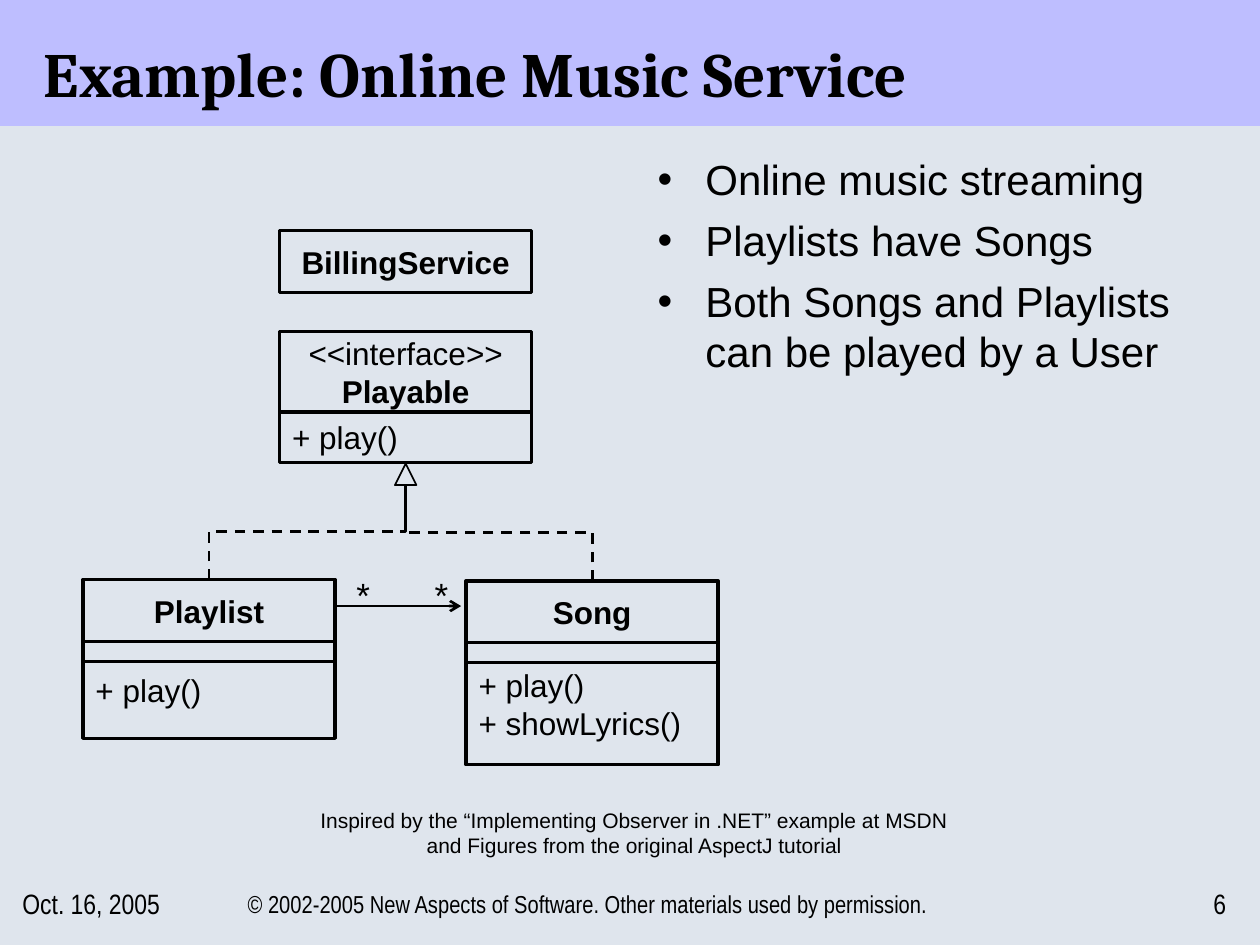
from dataclasses import dataclass

from lxml import etree
from pptx import Presentation
from pptx.dml.color import RGBColor
from pptx.enum.dml import MSO_LINE
from pptx.enum.shapes import MSO_CONNECTOR, MSO_SHAPE
from pptx.enum.text import MSO_ANCHOR, PP_ALIGN
from pptx.oxml.ns import qn
from pptx.util import Inches, Pt

LEFT, CENTER, RIGHT = PP_ALIGN.LEFT, PP_ALIGN.CENTER, PP_ALIGN.RIGHT
TOP, MIDDLE, BOTTOM = MSO_ANCHOR.TOP, MSO_ANCHOR.MIDDLE, MSO_ANCHOR.BOTTOM
RECTANGLE, TRIANGLE = MSO_SHAPE.RECTANGLE, MSO_SHAPE.ISOSCELES_TRIANGLE
STRAIGHT, ELBOW = MSO_CONNECTOR.STRAIGHT, MSO_CONNECTOR.ELBOW
DASH = MSO_LINE.DASH


@dataclass(frozen=True)
class Theme:
    ink: RGBColor = RGBColor(0x00, 0x00, 0x00)
    background: RGBColor = RGBColor(0xDF, 0xE5, 0xED)
    band: RGBColor = RGBColor(0xBE, 0xBE, 0xFF)
    title_font: str = "Cambria"
    body_font: str = "Arial"
    footer_font: str = "Arial Narrow"
    title_size: int = 36
    body_size: int = 24
    multiplicity_size: int = 20
    class_size: int = 18
    footer_size: int = 16
    copyright_size: int = 14
    credit_size: int = 12
    box_line: float = 2
    connector_line: float = 1.5
    triangle_line: float = 1


THEME = Theme()


def style_paragraph(paragraph, size, font=THEME.body_font, bold=False, align=LEFT):
    paragraph.alignment = align
    paragraph.font.name = font
    paragraph.font.size = Pt(size)
    paragraph.font.bold = bold
    paragraph.font.color.rgb = THEME.ink


def add_text(slide, box, text, size, anchor=TOP, wrap=True, **style):
    shape = slide.shapes.add_textbox(*map(Inches, box))
    frame = shape.text_frame
    frame.word_wrap = wrap
    frame.vertical_anchor = anchor
    paragraph = frame.paragraphs[0]
    paragraph.text = text
    style_paragraph(paragraph, size, **style)


def add_outline(shapes, kind, box, weight, fill=None):
    shape = shapes.add_shape(kind, *map(Inches, box))
    shape.shadow.inherit = False
    if fill is None:
        shape.fill.background()
    else:
        shape.fill.solid()
        shape.fill.fore_color.rgb = fill
    shape.line.color.rgb = THEME.ink
    shape.line.width = Pt(weight)
    return shape


def add_line(slide, kind, start, end):
    connector = slide.shapes.add_connector(kind, *map(Inches, start + end))
    connector.line.color.rgb = THEME.ink
    connector.line.width = Pt(THEME.connector_line)
    etree.SubElement(connector._element.spPr, qn("a:effectLst"))
    return connector


def add_title_band(slide, box):
    left, top, width, height = box
    band = slide.shapes.add_shape(RECTANGLE, *map(Inches, box))
    band.shadow.inherit = False
    band.fill.solid()
    band.fill.fore_color.rgb = THEME.band
    band.line.fill.background()
    add_text(slide, (left + 0.25, top + 0.17, width - 0.42, 0.75),
             "Example: Online Music Service", THEME.title_size,
             anchor=BOTTOM, font=THEME.title_font, bold=True)


def add_bullets(slide, box, items):
    frame = slide.shapes.add_textbox(*map(Inches, box)).text_frame
    frame.word_wrap = True
    for index, item in enumerate(items):
        paragraph = frame.add_paragraph() if index else frame.paragraphs[0]
        paragraph.text = item
        properties = paragraph._p.get_or_add_pPr()
        properties.set("marL", str(Inches(0.38)))
        properties.set("indent", str(-Inches(0.38)))
        etree.SubElement(properties, qn("a:buFont"), typeface=THEME.body_font)
        etree.SubElement(properties, qn("a:buChar"), char="•")
        style_paragraph(paragraph, THEME.body_size)
        if index:
            paragraph.space_before = Pt(6)


def add_compartment(shapes, box, lines=(), align=LEFT):
    """Draw one class compartment; lines are (text, bold) pairs."""
    shape = add_outline(shapes, RECTANGLE, box, THEME.box_line)
    frame = shape.text_frame
    frame.word_wrap = True
    frame.vertical_anchor = MIDDLE
    for index, (text, bold) in enumerate(lines):
        paragraph = frame.add_paragraph() if index else frame.paragraphs[0]
        paragraph.text = text
        style_paragraph(paragraph, THEME.class_size, bold=bold, align=align)


def add_class(slide, box, name, methods=(), stereotype=None,
              header_height=0.49, has_fields=False):
    left, top, width, height = box
    shapes = slide.shapes.add_group_shape().shapes if methods else slide.shapes
    header = [(stereotype, False)] if stereotype else []
    add_compartment(shapes, (left, top, width, header_height),
                    header + [(name, True)], CENTER)
    body_top = top + header_height
    if methods:
        add_compartment(shapes, (left, body_top, width, height - header_height),
                        [(method, False) for method in methods])
    if has_fields:
        add_compartment(shapes, (left, body_top, width, 0.16))


def add_realization(slide, start, end):
    """Dashed elbow that leaves upwards, runs across, and arrives upwards."""
    connector = add_line(slide, ELBOW, start, end)
    connector.line.dash_style = DASH
    across, rise = abs(end[0] - start[0]), start[1] - end[1]
    center_x, center_y = (start[0] + end[0]) / 2, (start[1] + end[1]) / 2
    # The elbow is laid out sideways and then turned by a quarter
    connector.left, connector.top = Inches(center_x - rise / 2), Inches(center_y - across / 2)
    connector.width, connector.height = Inches(rise), Inches(across)
    transform = connector._element.spPr.find(qn("a:xfrm"))
    transform.attrib.pop("flipH", None)
    transform.attrib.pop("flipV", None)
    transform.set("rot", str(270 * 60000))
    if start[0] > end[0]:
        transform.set("flipV", "1")


def add_class_diagram(slide, box):
    left, top, width, height = box
    class_width = 2
    playable_left = left + 1.56
    playable_center = playable_left + class_width / 2
    song_left = left + width - class_width
    lower_top = top + 2.77

    # Classes
    add_class(slide, (playable_left, top, class_width, 0.49), "BillingService")
    add_class(slide, (playable_left, top + 0.8, class_width, 1.04), "Playable",
              ["+ play()"], stereotype="<<interface>>", header_height=0.64)
    add_class(slide, (left, lower_top, class_width, 1.26), "Playlist",
              ["+ play()"], has_fields=True)
    add_class(slide, (song_left, lower_top + 0.01, class_width, 1.46), "Song",
              ["+ play()", "+ showLyrics()"], has_fields=True)

    # Playlist and Song realize Playable
    triangle = 0.17
    add_outline(slide.shapes, TRIANGLE,
                (playable_center - triangle / 2, top + 1.85, triangle, triangle),
                THEME.triangle_line, THEME.background)
    for class_left, class_top in ((left, lower_top), (song_left, lower_top + 0.01)):
        add_realization(slide, (class_left + class_width / 2, class_top),
                        (playable_center, top + 2.01))

    # Playlist refers to Song, many to many
    line_top = lower_top + 0.21
    line_left = left + class_width
    association = add_line(slide, STRAIGHT, (line_left, line_top), (line_left + 1, line_top))
    etree.SubElement(association.line._get_or_add_ln(), qn("a:tailEnd"), type="arrow")
    for offset in (0.07, 0.69):
        add_text(slide, (line_left + offset, lower_top - 0.1, 0.25, 0.44), "*",
                 THEME.multiplicity_size, align=CENTER)


def add_footer(slide, box):
    left, top, width, height = box
    parts = (
        (0, 1.67, "Oct. 16, 2005", THEME.footer_size, LEFT),
        (1.67, 5.83, "© 2002-2005 New Aspects of Software. "
         "Other materials used by permission.", THEME.copyright_size, CENTER),
        (width - 0.58, 0.58, "6", THEME.footer_size, RIGHT),
    )
    for offset, part_width, text, size, align in parts:
        add_text(slide, (left + offset, top, part_width, height), text, size,
                 anchor=MIDDLE, font=THEME.footer_font, align=align)


def main():
    presentation = Presentation()
    presentation.slide_width, presentation.slide_height = Inches(10), Inches(7.5)
    slide = presentation.slides.add_slide(presentation.slide_layouts[6])
    slide.background.fill.solid()
    slide.background.fill.fore_color.rgb = THEME.background

    add_title_band(slide, (0, 0, 10, 1))
    add_class_diagram(slide, (0.66, 1.83, 5.04, 4.24))
    add_bullets(slide, (5.12, 1.17, 4.71, 5.67), (
        "Online music streaming",
        "Playlists have Songs",
        "Both Songs and Playlists can be played by a User",
    ))
    add_text(slide, (2.42, 6.36, 5.23, 0.5),
             "Inspired by the “Implementing Observer in .NET” example at MSDN\v"
             "and Figures from the original AspectJ tutorial",
             THEME.credit_size, wrap=False, align=CENTER)
    add_footer(slide, (0.08, 6.92, 9.75, 0.5))
    presentation.save("out.pptx")


if __name__ == "__main__":
    main()
